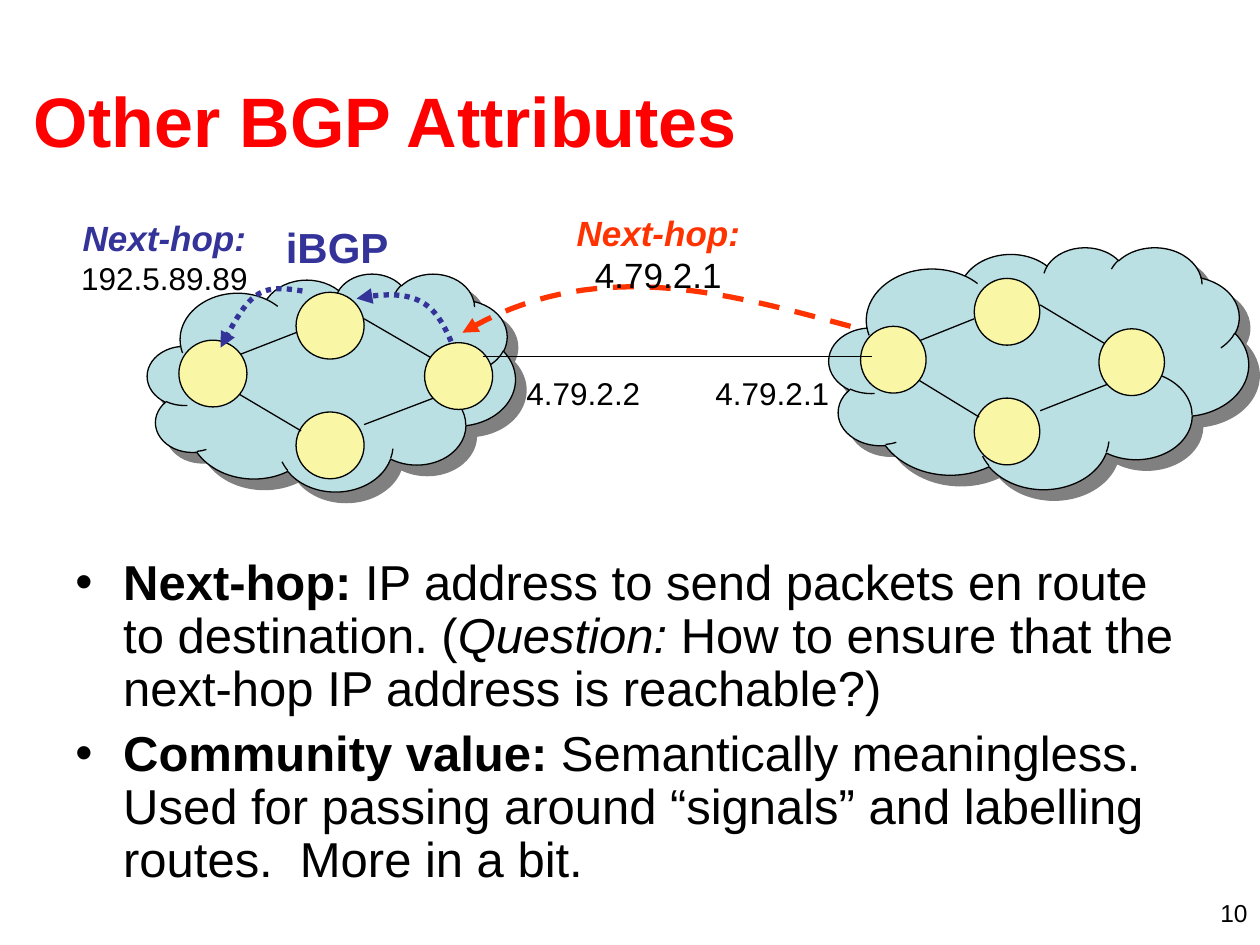
from lxml import etree
from pptx import Presentation
from pptx.dml.color import RGBColor
from pptx.enum.dml import MSO_LINE
from pptx.enum.shapes import MSO_CONNECTOR, MSO_SHAPE
from pptx.enum.text import MSO_ANCHOR, PP_ALIGN
from pptx.oxml.ns import qn
from pptx.util import Pt

PX = 9144  # EMU in one px, 100 px to the inch
FONT = "Arial"

BLACK = RGBColor(0x00, 0x00, 0x00)
RED = RGBColor(0xFF, 0x00, 0x00)
ORANGE = RGBColor(0xFF, 0x33, 0x00)
INDIGO = RGBColor(0x33, 0x33, 0x99)
CLOUD_BLUE = RGBColor(0xBB, 0xE0, 0xE3)
ROUTER_YELLOW = RGBColor(0xF9, 0xF7, 0xA5)

# One network, measured from the left edge and top of its routers
INNER_ROUTERS = [(93, 0), (93, 95)]
EDGE_ROUTERS = [(195, 40), (0, 38)]
LINKS = [((39, 53), (93, 32)), ((147, 105), (202, 84)),
         ((43, 78), (97, 110)), ((147, 21), (202, 53))]


def emu(*lengths):
    return [round(length * PX) for length in lengths]


def add_child(parent, tag, **attributes):
    child = etree.SubElement(parent, qn(tag))
    for name, value in attributes.items():
        child.set(name, str(value))
    return child


def run(text, size=18, color=BLACK, bold=False, italic=False):
    """Pair a text with its format, for use in a paragraph."""
    return text, dict(size=size, color=color, bold=bold, italic=italic)


def bezier(start, control_1, control_2, end, steps=32):
    """Points along a cubic curve."""
    for step in range(steps + 1):
        t = step / steps
        u = 1 - t
        yield tuple(u**3 * a + 3 * u * u * t * b + 3 * u * t * t * c + t**3 * d
                    for a, b, c, d in zip(start, control_1, control_2, end))


class Painter:
    def __init__(self, slide):
        self.slide = slide
        self.shapes = slide.shapes

    def outline(self, shape, color=BLACK, width=0.75):
        shape.line.color.rgb = color
        shape.line.width = Pt(width)

    def text(self, box, paragraphs, align=PP_ALIGN.LEFT,
             anchor=MSO_ANCHOR.TOP, bullet=False, spacing=None, gap=0):
        frame = self.shapes.add_textbox(*emu(*box)).text_frame
        frame.word_wrap = True
        frame.vertical_anchor = anchor
        for index, runs in enumerate(paragraphs):
            paragraph = frame.add_paragraph() if index else frame.paragraphs[0]
            paragraph.alignment = align
            if spacing:
                paragraph.line_spacing = spacing
            if index:
                paragraph.space_before = Pt(gap)
            if bullet:
                properties = paragraph._p.get_or_add_pPr()
                properties.set("marL", str(38 * PX))
                properties.set("indent", str(-38 * PX))
                add_child(properties, "a:buFont", typeface=FONT)
                add_child(properties, "a:buChar", char="•")
            for content, style in runs:
                piece = paragraph.add_run()
                piece.text = content
                font = piece.font
                font.name = FONT
                font.size = Pt(style["size"])
                font.color.rgb = style["color"]
                font.bold = style["bold"]
                font.italic = style["italic"]

    def filled(self, kind, box, color):
        shape = self.shapes.add_shape(kind, *emu(*box))
        shape.fill.solid()
        shape.fill.fore_color.rgb = color
        self.outline(shape)
        shape.shadow.inherit = False
        return shape

    def cloud(self, box):
        shape = self.filled(MSO_SHAPE.CLOUD, box, CLOUD_BLUE)
        effects = shape._element.spPr.find(qn("a:effectLst"))
        shadow = add_child(effects, "a:outerShdw", blurRad=0, dist=Pt(8.5),
                           dir=45 * 60000, algn="ctr", rotWithShape=0)
        add_child(shadow, "a:srgbClr", val="808080")

    def line(self, start, end):
        connector = self.shapes.add_connector(
            MSO_CONNECTOR.STRAIGHT, *emu(*start, *end))
        self.outline(connector)
        add_child(connector._element.spPr, "a:effectLst")

    def arc_arrow(self, curve, color, dash):
        first, *rest = [emu(*point) for point in bezier(*curve)]
        builder = self.shapes.build_freeform(*first)
        builder.add_line_segments(rest, close=False)
        shape = builder.convert_to_shape()
        shape.fill.background()
        self.outline(shape, color, 3)
        shape.line.dash_style = dash
        shape.shadow.inherit = False
        add_child(shape.line._get_or_add_ln(), "a:tailEnd", type="triangle")

    def network(self, cloud_box, left, top, router_width, stretch=1.0):
        """A cloud with four routers in a ring."""
        def place(point):
            return left + point[0] * stretch, top + point[1]

        def routers(points):
            for point in points:
                self.filled(MSO_SHAPE.OVAL,
                            (*place(point), router_width, 53), ROUTER_YELLOW)

        self.cloud(cloud_box)
        routers(INNER_ROUTERS)
        for start, end in LINKS:
            self.line(place(start), place(end))
        routers(EDGE_ROUTERS)


def main():
    presentation = Presentation()
    presentation.slide_width, presentation.slide_height = emu(1000, 750)
    slide = presentation.slides.add_slide(presentation.slide_layouts[6])
    painter = Painter(slide)

    painter.text((17, 32, 958, 125),
                 [[run("Other BGP Attributes", size=40, color=RED, bold=True)]],
                 anchor=MSO_ANCHOR.MIDDLE)
    painter.text((50, 438, 900, 295), [
        [run("Next-hop: ", size=28, bold=True),
         run("IP address to send packets en route to destination. (", size=28),
         run("Question: ", size=28, italic=True),
         run("How to ensure that the next-hop IP address is reachable?)", size=28)],
        [run("Community value:", size=28, bold=True),
         run(" Semantically meaningless.  Used for passing around “signals” "
             "and labelling routes.  More in a bit.", size=28)],
    ], bullet=True, spacing=0.9, gap=7)

    painter.network((117, 217, 292, 173), 142, 232, 54)
    painter.network((658, 196, 333, 192), 683, 221, 52, stretch=0.97)
    painter.line((383, 283), (692, 283))

    painter.arc_arrow([(675, 259), (572, 231), (470, 203), (367, 264)],
                      ORANGE, MSO_LINE.DASH)
    painter.arc_arrow([(358, 271), (346, 243), (333, 227), (283, 237)],
                      INDIGO, MSO_LINE.ROUND_DOT)
    painter.arc_arrow([(240, 231), (205, 225), (198, 232), (175, 276)],
                      INDIGO, MSO_LINE.ROUND_DOT)

    for box, address, size, color in [
            ((425, 163, 195, 77), "4.79.2.1", 20, ORANGE),
            ((33, 167, 195, 74), "192.5.89.89", 18, INDIGO)]:
        painter.text(box, [[run("Next-hop: ", size=20, color=color,
                                bold=True, italic=True),
                            run(address, size=size)]], align=PP_ALIGN.CENTER)
    painter.text((217, 171, 158, 50),
                 [[run("iBGP", size=24, color=INDIGO, bold=True)]])
    for left, address in [(408, "4.79.2.2"), (558, "4.79.2.1")]:
        painter.text((left, 292, 125, 40), [[run(address)]])
    painter.text((767, 708, 233, 25), [[run("10", size=14)]],
                 align=PP_ALIGN.RIGHT)

    presentation.save("out.pptx")


if __name__ == "__main__":
    main()
